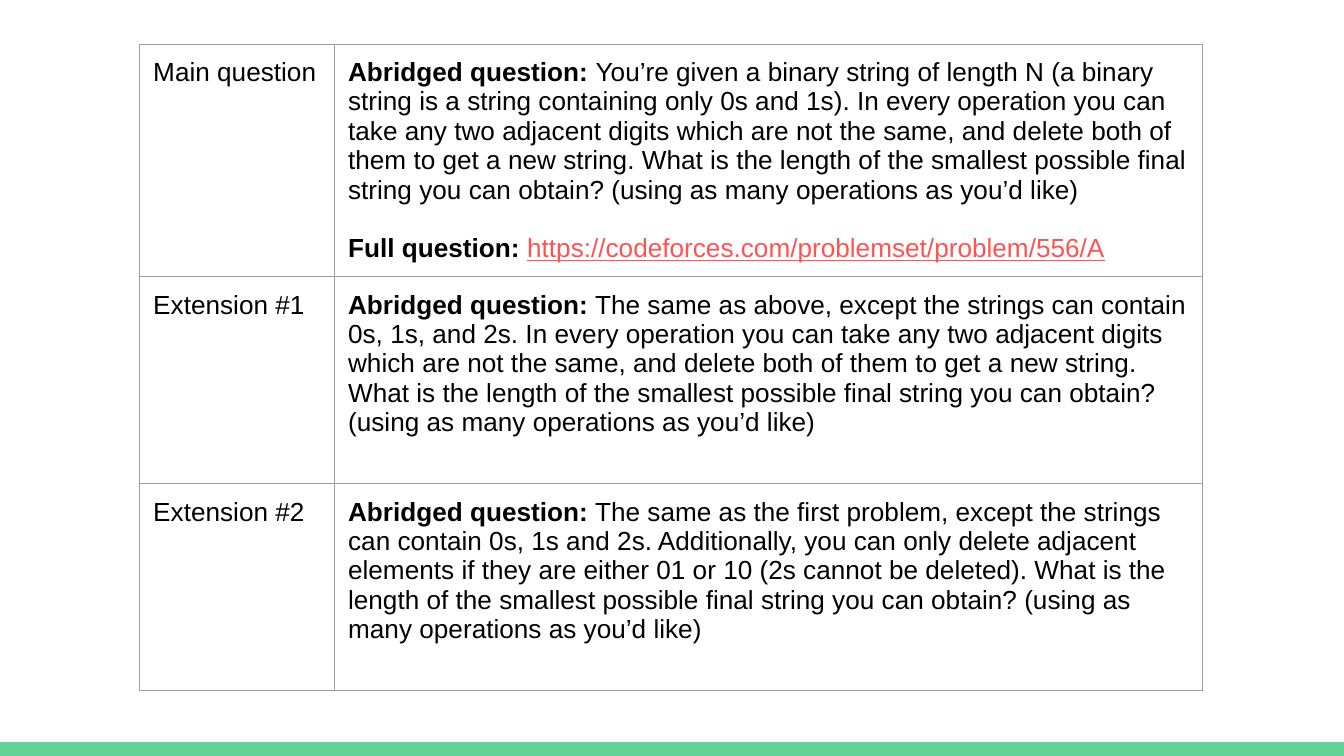
"""Build a slide with a table of one main question and its two extensions."""
from lxml.etree import SubElement
from pptx import Presentation
from pptx.dml.color import RGBColor
from pptx.enum.shapes import MSO_SHAPE as Shape
from pptx.oxml.ns import qn
from pptx.util import Inches, Pt

COLORS = {"text": "000000", "link": "FF5252", "border": "9E9E9E", "bar": "63D297"}
FONT = "Arial"
TEXT_SIZE = Pt(14)
PARAGRAPH_GAP = Pt(15.75)
BORDER_WIDTH = Pt(0.75)
SLIDE_WIDTH = 10
SLIDE_HEIGHT = SLIDE_WIDTH * 9 / 16
BAR_TOP = 5.52
TABLE_ORIGIN = (1.04, 0.33)
COLUMN_WIDTHS = (1.45, 3.82, 2.64)
ROW_HEIGHT = 1.54
CELL_MARGIN = Inches(0.1)

QUESTIONS = [
    ("Main question", [
        [("Abridged question: ", "bold"),
         ("You’re given a binary string of length N (a binary string is a string containing "
          "only 0s and 1s). In every operation you can take any two adjacent digits which are "
          "not the same, and delete both of them to get a new string. What is the length of "
          "the smallest possible final string you can obtain? (using as many operations as "
          "you’d like)", "plain")],
        [("Full question: ", "bold"),
         ("https://codeforces.com/problemset/problem/556/A", "link")],
    ]),
    ("Extension #1", [
        [("Abridged question:", "bold"),
         (" The same as above, except the strings can contain 0s, 1s, and 2s. In every "
          "operation you can take any two adjacent digits which are not the same, and delete "
          "both of them to get a new string. What is the length of the smallest possible final "
          "string you can obtain? (using as many operations as you’d like)", "plain")],
    ]),
    ("Extension #2", [
        [("Abridged question:", "bold"),
         (" The same as the first problem, except the strings can contain 0s, 1s and 2s. "
          "Additionally, you can only delete adjacent elements if they are either 01 or 10 "
          "(2s cannot be deleted). What is the length of the smallest possible final string "
          "you can obtain? (using as many operations as you’d like)", "plain")],
    ]),
]


def color(name):
    return RGBColor.from_string(COLORS[name])


def format_cell(cell):
    properties = cell._tc.get_or_add_tcPr()
    for side in ("lnL", "lnR", "lnT", "lnB"):
        line = SubElement(properties, qn(f"a:{side}"), w=str(BORDER_WIDTH))
        fill = SubElement(line, qn("a:solidFill"))
        SubElement(fill, qn("a:srgbClr"), val=COLORS["border"])
    cell.fill.background()
    cell.margin_left = cell.margin_right = CELL_MARGIN
    cell.margin_top = cell.margin_bottom = CELL_MARGIN


def write_cell(cell, paragraphs):
    frame = cell.text_frame
    for index, runs in enumerate(paragraphs):
        paragraph = frame.add_paragraph() if index else frame.paragraphs[0]
        if index:
            paragraph.space_before = PARAGRAPH_GAP
        for text, style in runs:
            run = paragraph.add_run()
            run.text = text
            run.font.name = FONT
            run.font.size = TEXT_SIZE
            run.font.bold = style == "bold"
            run.font.underline = style == "link"
            run.font.color.rgb = color("link" if style == "link" else "text")


def add_bottom_bar(slide):
    bar = slide.shapes.add_shape(Shape.RECTANGLE, 0, Inches(BAR_TOP), Inches(SLIDE_WIDTH),
                                 Inches(SLIDE_HEIGHT - BAR_TOP))
    bar.shadow.inherit = False
    bar.fill.solid()
    bar.fill.fore_color.rgb = color("bar")
    bar.line.fill.background()


def add_question_table(slide):
    left, top = TABLE_ORIGIN
    table = slide.shapes.add_table(
        len(QUESTIONS), len(COLUMN_WIDTHS), Inches(left), Inches(top),
        Inches(sum(COLUMN_WIDTHS)), Inches(ROW_HEIGHT * len(QUESTIONS))).table
    table.first_row = table.horz_banding = False
    for column, width in zip(table.columns, COLUMN_WIDTHS):
        column.width = Inches(width)
    for cell in table.iter_cells():
        format_cell(cell)
    for index, (label, paragraphs) in enumerate(QUESTIONS):
        table.rows[index].height = Inches(ROW_HEIGHT)
        table.cell(index, 1).merge(table.cell(index, 2))
        write_cell(table.cell(index, 0), [[(label, "plain")]])
        write_cell(table.cell(index, 1), paragraphs)


def main():
    presentation = Presentation()
    presentation.slide_width = Inches(SLIDE_WIDTH)
    presentation.slide_height = Inches(SLIDE_HEIGHT)
    slide = presentation.slides.add_slide(presentation.slide_layouts[6])
    add_bottom_bar(slide)
    add_question_table(slide)
    presentation.save("out.pptx")


if __name__ == "__main__":
    main()
